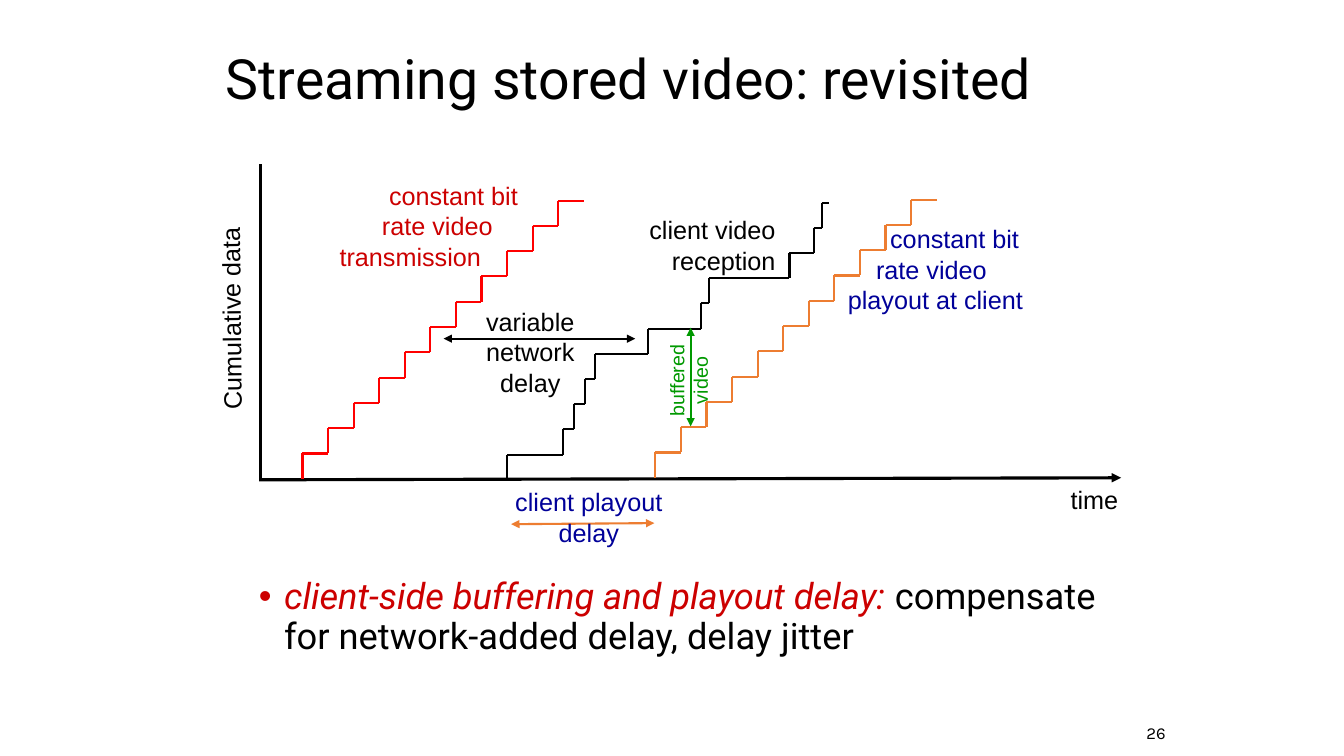
from itertools import pairwise

from lxml.etree import SubElement as Sub
from pptx import Presentation as Deck
from pptx.dml.color import RGBColor as RGB
from pptx.enum.shapes import MSO_CONNECTOR as Link
from pptx.enum.text import MSO_ANCHOR as Anchor, PP_ALIGN as Align
from pptx.oxml.ns import qn
from pptx.util import Inches, Pt

BLACK = RGB(0x00, 0x00, 0x00)
RED = RGB(0xFF, 0x00, 0x00)
CRIMSON = RGB(0xCC, 0x00, 0x00)
ORANGE = RGB(0xED, 0x7D, 0x31)
NAVY = RGB(0x00, 0x00, 0x99)
GREEN = RGB(0x00, 0x99, 0x00)

STEPS = 11
LABEL = {"name": "Arial", "size": Pt(18)}
SMALL = {"name": "Arial", "size": Pt(14)}
HEAD = {"name": "Roboto", "size": Pt(39.6)}
POINT = {"name": "Roboto", "size": Pt(25.9)}
PAGE = {"name": "Karla", "size": Pt(12)}


def style(font, form, color):
    """Apply format values and a colour to a font."""
    for key, value in form.items():
        setattr(font, key, value)
    font.color.rgb = color


def line(shapes, start, end, color, width=1.5, ends=()):
    """Draw a straight line with optional arrowheads."""
    rule = shapes.add_connector(Link.STRAIGHT, *map(Inches, start + end))
    rule.line.color.rgb = color
    rule.line.width = Pt(width)
    props = rule.element.spPr
    for name in ends:
        Sub(props.find(qn("a:ln")), qn(f"a:{name}End"), type="triangle")
    Sub(props, qn("a:effectLst"))


def spread(left, right):
    """Return evenly spaced step edges."""
    return [left + (right - left) * i / STEPS for i in range(STEPS + 1)]


def stairs(slide, edges, base, top, color):
    """Draw a staircase of equal rises as one group."""
    shapes = slide.shapes.add_group_shape().shapes
    rise = (base - top) / STEPS
    for i, (left, right) in enumerate(pairwise(edges)):
        low, high = base - i * rise, base - (i + 1) * rise
        line(shapes, (left, low), (left, high), color)
        line(shapes, (left, high), (right, high), color)


def frame(slide, place):
    """Add a wrapping text box."""
    box = slide.shapes.add_textbox(*map(Inches, place))
    box.text_frame.word_wrap = True
    return box


def label(slide, place, lines, color, align=Align.LEFT, turn=0,
          form=LABEL, insets=()):
    """Add a label with one paragraph per line."""
    box = frame(slide, place)
    box.rotation = turn
    text = box.text_frame
    text.text = "\n".join(lines)
    for para in text.paragraphs:
        para.alignment = align
        style(para.font, form, color)
    for para, inset in zip(text.paragraphs, insets):
        para._p.get_or_add_pPr().set("marL", str(Inches(inset)))
    return box


def title(slide, words):
    """Place and format the title."""
    shape = slide.shapes.title
    spots = zip(("left", "top", "width", "height"), (2.14, 0.33, 8.84, 0.95))
    for key, value in spots:
        setattr(shape, key, Inches(value))
    shape.text_frame.text = words
    shape.text_frame.vertical_anchor = Anchor.MIDDLE
    para = shape.text_frame.paragraphs[0]
    para.alignment = Align.LEFT
    para.line_spacing = 0.9
    style(para.font, HEAD, BLACK)


def bullet(slide, place, lead, rest):
    """Add a bullet with an emphasised lead."""
    para = frame(slide, place).text_frame.paragraphs[0]
    para.line_spacing = 0.9
    props = para._p.get_or_add_pPr()
    props.set("marL", str(Inches(0.25)))
    props.set("indent", str(Inches(-0.25)))
    Sub(props, qn("a:buFont"), typeface="Arial")
    Sub(props, qn("a:buChar"), char="•")
    for words, color, slant in ((lead, CRIMSON, True), (rest, BLACK, False)):
        run = para.add_run()
        run.text = words
        style(run.font, POINT | {"italic": slant}, color)


def chart(slide):
    """Draw the axes, staircases and arrows."""
    shapes = slide.shapes
    line(shapes, (2.58, 1.63), (2.58, 4.75), BLACK, 2.25)
    line(shapes, (2.57, 4.76), (11.12, 4.74), BLACK, 2.25, ["tail"])
    stairs(slide, spread(3, 5.79), 4.75, 1.99, RED)
    arrive = [5.03, 5.58, 5.69, 5.8, 5.9, 6.43,
              6.95, 7.03, 7.83, 8.07, 8.15, 8.22]
    stairs(slide, arrive, 4.76, 2.01, BLACK)
    stairs(slide, spread(6.5, 9.29), 4.74, 1.98, ORANGE)
    both = ["head", "tail"]
    line(shapes, (4.4, 3.36), (6.3, 3.36), BLACK, ends=both)
    line(shapes, (5.07, 5.2), (6.49, 5.19), ORANGE, ends=both)
    line(shapes, (6.85, 4.23), (6.85, 3.25), GREEN, ends=both)


def labels(slide):
    """Add the wording around the staircases."""
    label(slide, (3.27, 1.74, 2.04, 1.01),
          ["constant bit", "rate video", "transmission"], CRIMSON,
          insets=(0.49, 0.42, 0))
    label(slide, (1.22, 2.89, 2.14, 0.4), ["Cumulative data"], BLACK,
          turn=269.4)
    label(slide, (10.52, 4.76, 0.8, 0.4), ["time"], BLACK)
    label(slide, (4.66, 2.99, 1.2, 1.01), ["variable", "network", "delay"],
          BLACK, Align.CENTER)
    label(slide, (6.22, 2.08, 1.57, 0.71), ["client video", "reception"],
          BLACK, Align.RIGHT)
    label(slide, (8.24, 2.17, 2.09, 1.01),
          ["constant bit", "rate video", "playout at client"], NAVY,
          insets=(0.49, 0.35, 0.07))
    label(slide, (4.92, 4.78, 1.84, 0.7), ["client playout", "delay"],
          NAVY, Align.CENTER)
    label(slide, (6.33, 3.49, 1, 0.57), ["buffered", "video"],
          GREEN, Align.CENTER, 270, SMALL)


def main():
    """Build and save the slide."""
    deck = Deck()
    deck.slide_width, deck.slide_height = Inches(13.33), Inches(7.5)
    slide = deck.slides.add_slide(deck.slide_layouts[5])
    title(slide, "Streaming stored video: revisited")
    chart(slide)
    labels(slide)
    bullet(slide, (2.47, 5.69, 8.5, 0.97),
           "client-side buffering and playout delay: ",
           "compensate for network-added delay, delay jitter")
    page = label(slide, (10.91, 7.12, 0.75, 0.3), ["26"], BLACK,
                 Align.RIGHT, form=PAGE)
    page.text_frame.vertical_anchor = Anchor.MIDDLE
    deck.save("out.pptx")


if __name__ == "__main__":
    main()
